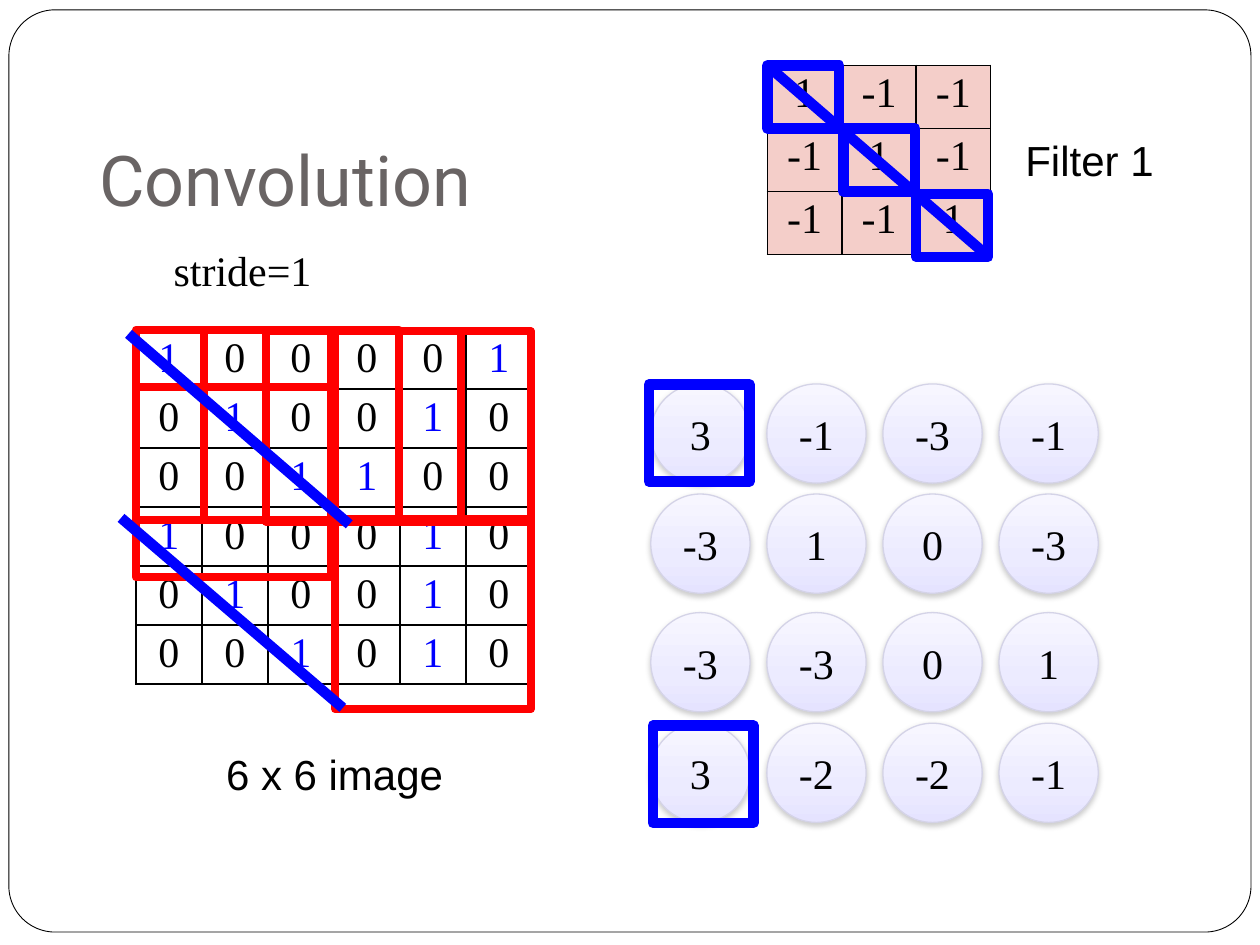
"""Build a slide on convolution with a 3 x 3 filter, stride 1."""
from pptx import Presentation
from pptx.dml.color import RGBColor
from pptx.enum.shapes import MSO_CONNECTOR, MSO_SHAPE
from pptx.enum.text import MSO_ANCHOR, PP_ALIGN
from pptx.oxml import parse_xml
from pptx.oxml.ns import nsdecls
from pptx.util import Cm, Pt

BLACK, WHITE, BLUE, RED = "000000", "FFFFFF", "0000FF", "FF0000"
SERIF, SANS = "Times New Roman", "Arial"

IMAGE = ["100001", "010010", "001100", "100010", "010010", "001010"]
FILTER = [["1", "-1", "-1"], ["-1", "1", "-1"], ["-1", "-1", "1"]]
FEATURES = [
    ["3", "-1", "-3", "-1"],
    ["-3", "1", "0", "-3"],
    ["-3", "-3", "0", "1"],
    ["3", "-2", "-2", "-1"],
]
FEATURE_LEFT, FEATURE_STEP, FEATURE_SIZE = 13.12, 2.34, 2.0
FEATURE_TOPS = [7.74, 9.96, 12.35, 14.58]
FEATURE_STOPS = [(0, "F7F6FF"), (65, "ECEBFF"), (100, "E5E3FF")]

LABELS = [
    ("6 x 6 image", (3.48, 14.96, 6.53, 1.28), SANS, PP_ALIGN.CENTER, True),
    ("Filter 1", (19.96, 2.59, 4.01, 1.28), SANS, PP_ALIGN.CENTER, True),
    ("stride=1", (3.25, 4.8, 3.35, 1.28), SERIF, PP_ALIGN.LEFT, False),
]
OUTLINES = [
    (RED, 4.5, (3.94, 3.84), [(2.74, 6.65), (4.11, 6.65), (5.36, 6.68),
                              (6.76, 6.68), (2.74, 7.8), (6.76, 10.46)]),
    (BLUE, 6, (1.45, 1.27), [(15.47, 1.32), (17, 2.59), (18.47, 3.91)]),
    (BLUE, 6, (2.03, 1.96), [(13.08, 7.75), (13.16, 14.63)]),
]
DIAGONALS = [
    (15.47, 1.32, 19.91, 5.16),
    (2.59, 6.73, 7.04, 10.57),
    (2.44, 10.44, 6.91, 14.27),
]


def color(value):
    return RGBColor.from_string(value)


def lengths(values):
    return [Cm(value) for value in values]


def write(frame, text, font=SERIF, size=24, ink=BLACK, align=PP_ALIGN.CENTER):
    para = frame.paragraphs[0]
    para.alignment = align
    span = para.add_run()
    span.text = text
    span.font.name = font
    span.font.size = Pt(size)
    span.font.color.rgb = color(ink)


def add_outline(page, kind, place, ink, width):
    shape = page.shapes.add_shape(kind, *lengths(place))
    shape.shadow.inherit = False
    shape.fill.background()
    shape.line.color.rgb = color(ink)
    shape.line.width = Pt(width)
    return shape


def add_borders(cell):
    properties = cell._tc.get_or_add_tcPr()
    for index, side in enumerate(("lnL", "lnR", "lnT", "lnB")):
        properties.insert(index, parse_xml(
            f'<a:{side} {nsdecls("a")} w="12700"><a:solidFill>'
            f'<a:srgbClr val="{BLACK}"/></a:solidFill></a:{side}>'))


def add_grid(page, rows, left, top, width, height, fill=None, one_ink=BLACK):
    count = len(rows)
    place = lengths((left, top, width * count, height * count))
    table = page.shapes.add_table(count, count, *place).table
    table.first_row = table.horz_banding = False
    for index, row in enumerate(rows):
        table.columns[index].width = Cm(width)
        table.rows[index].height = Cm(height)
        for column, value in enumerate(row):
            cell = table.cell(index, column)
            cell.margin_top = cell.margin_bottom = Cm(0.1)
            if fill:
                cell.fill.solid()
                cell.fill.fore_color.rgb = color(fill)
            else:
                cell.fill.background()
            add_borders(cell)
            write(cell.text_frame, value, ink=one_ink if value == "1" else BLACK)


def add_feature(page, text, left, top):
    place = (left, top, FEATURE_SIZE, FEATURE_SIZE)
    circle = add_outline(page, MSO_SHAPE.OVAL, place, "D4D3E7", 0.75)
    circle.fill.gradient()
    circle.fill.gradient_angle = 270
    properties = circle._element.spPr
    stops = "".join(
        f'<a:gs pos="{spot * 1000}"><a:srgbClr val="{value}"/></a:gs>'
        for spot, value in FEATURE_STOPS)
    old_stops = properties.find(".//{*}gsLst")
    old_stops.getparent().replace(
        old_stops, parse_xml(f'<a:gsLst {nsdecls("a")}>{stops}</a:gsLst>'))
    properties.find("{*}effectLst").append(parse_xml(
        f'<a:outerShdw {nsdecls("a")} blurRad="{Pt(3.1)}" dist="{Pt(1.6)}" '
        'dir="5400000" rotWithShape="0"><a:srgbClr val="808080">'
        '<a:alpha val="38000"/></a:srgbClr></a:outerShdw>'))
    circle.text_frame.vertical_anchor = MSO_ANCHOR.MIDDLE
    write(circle.text_frame, text)


def add_diagonal(page, ends):
    line = page.shapes.add_connector(MSO_CONNECTOR.STRAIGHT, *lengths(ends))
    line.line.color.rgb = color(BLUE)
    line.line.width = Pt(6)
    line._element.spPr.append(parse_xml(f'<a:effectLst {nsdecls("a")}/>'))


def main():
    deck = Presentation()
    deck.slide_width, deck.slide_height = Cm(25.4), Cm(19.05)
    page = deck.slides.add_slide(deck.slide_layouts[5])

    title = page.shapes.title
    title.left, title.top, title.width, title.height = lengths((1.75, 1.02, 21.9, 3.68))
    title.text_frame.vertical_anchor = MSO_ANCHOR.BOTTOM
    title.text_frame.margin_bottom = Cm(0.25)
    write(title.text_frame, "Convolution", font="Roboto", size=40,
          ink="696464", align=PP_ALIGN.LEFT)

    frame = add_outline(page, MSO_SHAPE.ROUNDED_RECTANGLE,
                        (0.18, 0.2, 25.04, 18.59), BLACK, 0.5)
    frame.adjustments[0] = 0.05
    frame.fill.solid()
    frame.fill.fore_color.rgb = color(WHITE)
    title._element.addprevious(frame._element)

    add_grid(page, IMAGE, 2.74, 6.65, 1.33, 1.19, one_ink=BLUE)
    add_grid(page, FILTER, 15.47, 1.32, 1.5, 1.27, fill="F4CEC9")

    for text, place, font, align, wrap in LABELS:
        box = page.shapes.add_textbox(*lengths(place))
        box.text_frame.word_wrap = wrap
        write(box.text_frame, text, font=font, align=align)

    for top, row in zip(FEATURE_TOPS, FEATURES):
        for column, text in enumerate(row):
            add_feature(page, text, FEATURE_LEFT + column * FEATURE_STEP, top)

    for ink, width, size, corners in OUTLINES:
        for corner in corners:
            add_outline(page, MSO_SHAPE.RECTANGLE, corner + size, ink, width)

    for ends in DIAGONALS:
        add_diagonal(page, ends)

    deck.save("out.pptx")


if __name__ == "__main__":
    main()
